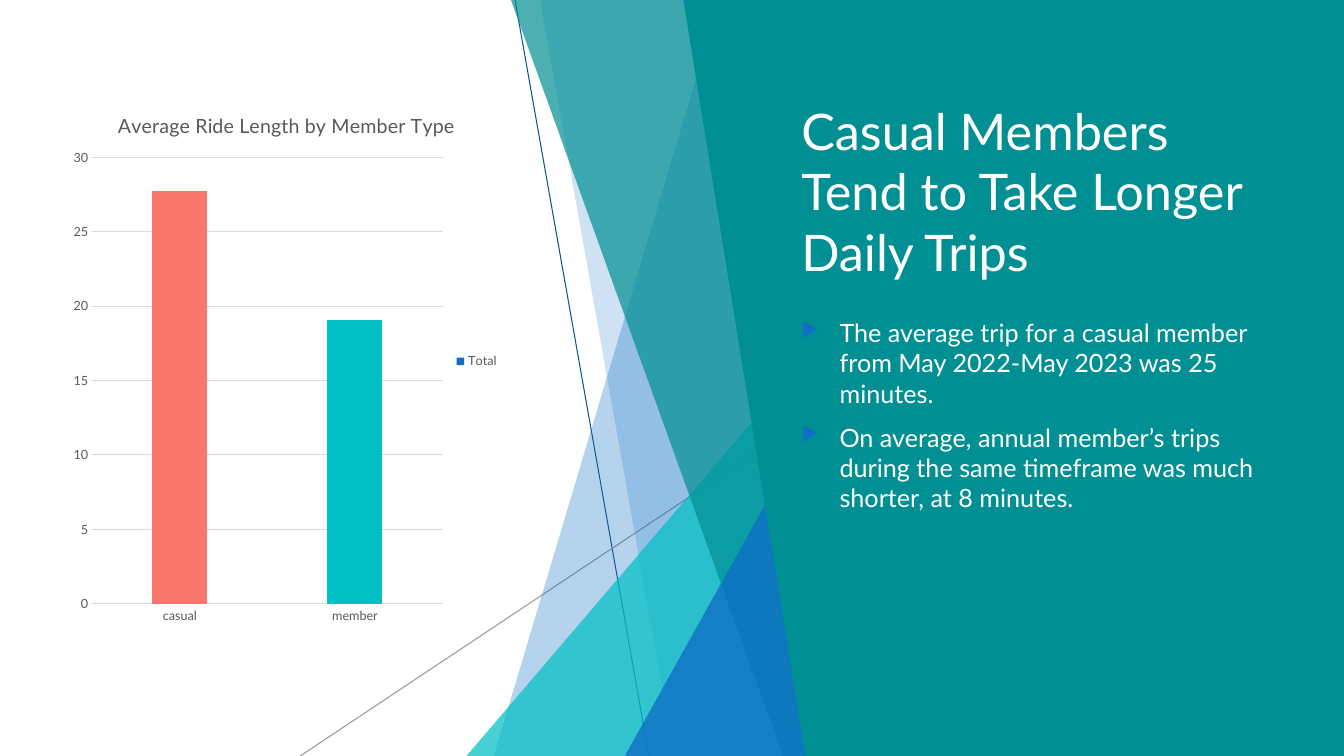
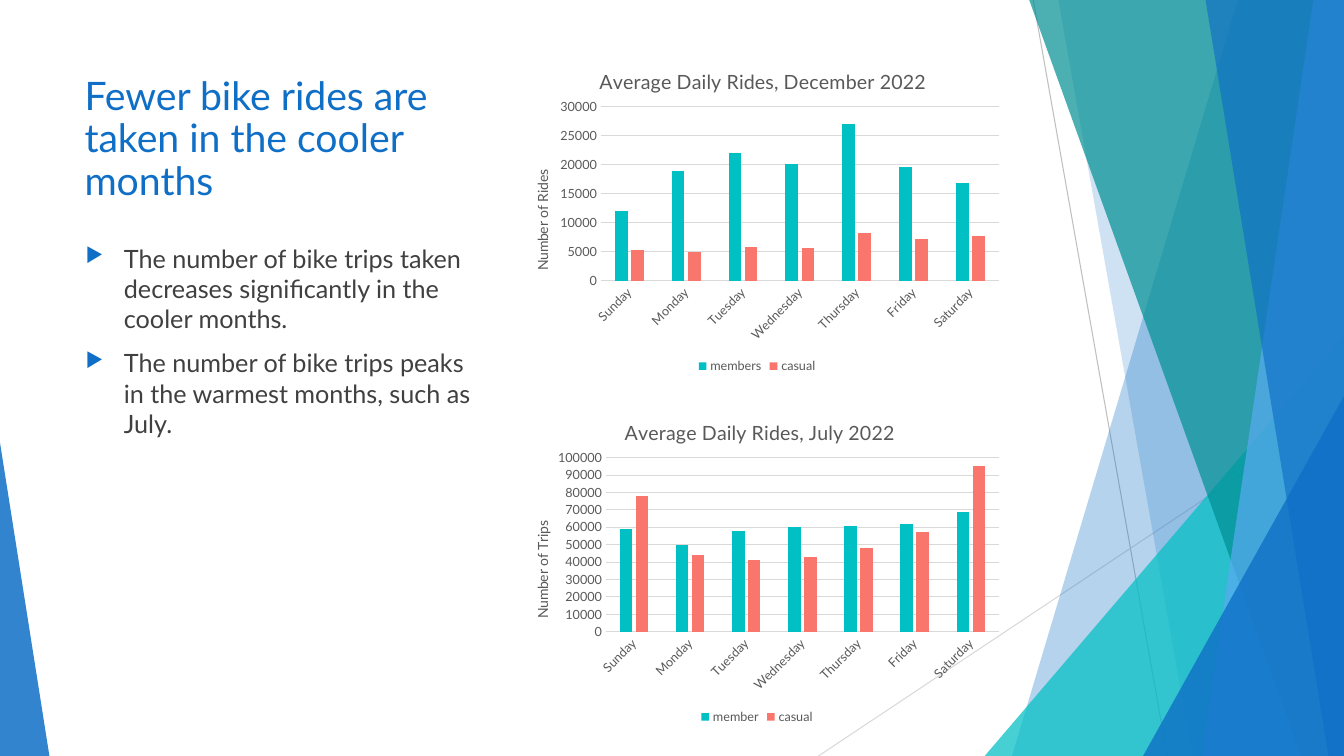
from collections import namedtuple
from dataclasses import dataclass
from itertools import cycle

from pptx import Presentation
from pptx.chart.data import CategoryChartData
from pptx.dml.color import RGBColor
from pptx.enum.chart import XL_CHART_TYPE as ChartType
from pptx.enum.chart import XL_LEGEND_POSITION as LegendSide
from pptx.enum.chart import XL_TICK_MARK as TickMark
from pptx.enum.shapes import MSO_CONNECTOR as Connector
from pptx.enum.shapes import MSO_SHAPE as Preset
from pptx.enum.text import MSO_ANCHOR as Anchor
from pptx.oxml import parse_xml
from pptx.oxml.ns import nsdecls, qn
from pptx.util import Inches, Pt


@dataclass(frozen=True)
class Theme:
    font: str = "Lato"
    blue: RGBColor = RGBColor.from_string("0F6FC6")
    sky: RGBColor = RGBColor.from_string("59AAF2")
    navy: RGBColor = RGBColor.from_string("0B5394")
    teal: RGBColor = RGBColor.from_string("008F93")
    aqua: RGBColor = RGBColor.from_string("00BFC4")
    member: RGBColor = RGBColor.from_string("00C0C4")
    casual: RGBColor = RGBColor.from_string("F9766D")
    white: RGBColor = RGBColor.from_string("FFFFFF")
    ink: RGBColor = RGBColor.from_string("404040")
    label: RGBColor = RGBColor.from_string("595959")
    grey: RGBColor = RGBColor.from_string("999999")
    silver: RGBColor = RGBColor.from_string("BFBFBF")
    mist: RGBColor = RGBColor.from_string("D9D9D9")
    hairline: Pt = Pt(0.75)
    big_title: Pt = Pt(36)
    small_title: Pt = Pt(28)
    body: Pt = Pt(18)
    chart_title: Pt = Pt(14)
    axis_title: Pt = Pt(10)
    tick: Pt = Pt(9)


theme = Theme()
deck = Presentation()
deck.slide_width = Inches(13.333)
deck.slide_height = Inches(7.5)
column, row = deck.slide_width / 100, deck.slide_height / 100


def grid(*cells):
    return [round(cell * unit) for cell, unit in zip(cells, cycle((column, row)))]


def place(element, **shares):
    for old in element.findall(qn("c:layout")):
        element.remove(old)
    modes = '<c:xMode val="edge"/><c:yMode val="edge"/>'
    if "w" in shares:
        modes = '<c:layoutTarget val="inner"/>' + modes
    sizes = "".join(f'<c:{side} val="{share}"/>' for side, share in shares.items())
    layout = parse_xml(
        f'<c:layout {nsdecls("c")}><c:manualLayout>{modes}{sizes}</c:manualLayout></c:layout>'
    )
    element.insert(len(element.findall(qn("c:tx"))), layout)


length_page, season_page = [deck.slides.add_slide(deck.slide_layouts[6]) for _ in range(2)]

Strip = namedtuple("Strip", "top bottom right colour opacity")
Wedge = namedtuple("Wedge", "left top right tip colour opacity")
back_strips = [
    Strip(92.1, 75.3, 100, theme.blue, 30),
    Strip(78.75, 88.73, 100, theme.blue, 20),
    Wedge(73.27, 44.4, 100, 1, theme.aqua, 72),
    Strip(76.58, 96.83, 100, theme.teal, 70),
]
edge_strips = [
    Strip(97.73, 89.4, 100, theme.sky, 70),
    Strip(89.7, 98.85, 100, theme.blue, 65),
]
front_wedge = Wedge(85.05, 52.4, 100, 1, theme.blue, 80)
corner_wedge = Wedge(0, 58.53, 3.68, 0, theme.blue, 85)
shift = -38.56
panel = Strip(89.41, 98.49, 100 - shift, theme.teal, 100)

backdrops = [
    (length_page, shift, (theme.navy, theme.grey), [*back_strips, front_wedge, panel]),
    (season_page, 0, (theme.silver, theme.mist),
     [*back_strips, *edge_strips, front_wedge, corner_wedge]),
]
rays = [(76.88, 0, 86.85, 100), (100, 53.73, 60.9, 100)]

for page, offset, ray_colours, facets in backdrops:
    for (x1, y1, x2, y2), colour in zip(rays, ray_colours):
        ray = page.shapes.add_connector(
            Connector.STRAIGHT, *grid(x1 + offset, y1, x2 + offset, y2))
        ray.line.color.rgb = colour
        ray.line.width = theme.hairline
        ray.element.spPr.append(parse_xml(f'<a:effectLst {nsdecls("a")}/>'))
    for facet in facets:
        right = facet.right + offset
        if isinstance(facet, Strip):
            outline = page.shapes.build_freeform(*grid(facet.top + offset, 0))
            outline.add_line_segments(
                [grid(right, 0), grid(right, 100), grid(facet.bottom + offset, 100)], close=True)
            shape = outline.convert_to_shape()
        else:
            shape = page.shapes.add_shape(
                Preset.ISOSCELES_TRIANGLE,
                *grid(facet.left + offset, facet.top, facet.right - facet.left, 100 - facet.top))
            shape.adjustments[0] = facet.tip
        shape.shadow.inherit = False
        shape.line.fill.background()
        shape.fill.solid()
        shape.fill.fore_color.rgb = facet.colour
        if facet.opacity < 100:
            tint = shape.element.spPr.find(qn("a:solidFill"))[0]
            tint.append(parse_xml(f'<a:alpha {nsdecls("a")} val="{facet.opacity * 1000}"/>'))

titles = [
    (length_page, (58.88, 8.93, 37.05, 32.53), theme.big_title, theme.white, 1.0,
     "Casual Members Tend to Take Longer Daily Trips"),
    (season_page, (5.55, 8.93, 30.6, 19.2), theme.small_title, theme.blue, 0.9,
     "Fewer bike rides are taken in the cooler months"),
]
for page, area, size, colour, spacing, text in titles:
    box = page.shapes.add_textbox(*grid(*area))
    frame = box.text_frame
    frame.word_wrap = True
    frame.vertical_anchor = Anchor.MIDDLE
    frame.text = text
    para = frame.paragraphs[0]
    para.line_spacing = spacing
    font = para.runs[0].font
    font.name, font.size, font.color.rgb = theme.font, size, colour

bodies = [
    (length_page, (58.88, 41.33, 37.05, 48.4), theme.white, [
        "The average trip for a casual member from May 2022-May 2023 was 25 minutes.",
        "On average, annual member’s trips during the same timeframe was much shorter, at 8 minutes.",
    ]),
    (season_page, (5.63, 31.47, 30.53, 51.87), theme.ink, [
        "The number of bike trips taken decreases significantly in the cooler months.",
        "The number of bike trips peaks in the warmest months, such as July.",
    ]),
]
bullet_parts = [
    f'<a:buClr {nsdecls("a")}><a:srgbClr val="{theme.blue}"/></a:buClr>',
    f'<a:buSzPct {nsdecls("a")} val="80000"/>',
    f'<a:buChar {nsdecls("a")} char="▶"/>',
]
for page, area, colour, points in bodies:
    box = page.shapes.add_textbox(*grid(*area))
    frame = box.text_frame
    frame.word_wrap = True
    frame.text = "\n".join(points)
    for para in frame.paragraphs:
        para.space_before = Pt(10)
        font = para.runs[0].font
        font.name, font.size, font.color.rgb = theme.font, theme.body, colour
        properties = para._p.get_or_add_pPr()
        properties.set("marL", str(Inches(0.38)))
        properties.set("indent", str(-Inches(0.38)))
        for part in bullet_parts:
            properties.append(parse_xml(part))

Plot = namedtuple(
    "Plot", "page area title title_at inner axis_title top step legend categories series")
weekdays = ["Sunday", "Monday", "Tuesday", "Wednesday", "Thursday", "Friday", "Saturday"]
plots = [
    Plot(length_page, (4.88, 11.33, 33, 72.93), "Average Ride Length by Member Type",
         (0.11, 0.04), (0.06, 0.13, 0.79, 0.81), None, 30, 5, LegendSide.RIGHT,
         ["casual", "member"], [("Total", theme.blue, [27.7, 19.1])]),
    Plot(season_page, (37.58, 52.13, 37.5, 44.27), "Average Daily Rides, July 2022",
         (0.23, 0.06), (0.2, 0.19, 0.78, 0.52), "Number of Trips", 100000, 10000,
         LegendSide.BOTTOM, weekdays, [
             ("member", theme.member, [59000, 50000, 58000, 60000, 61000, 62000, 69000]),
             ("casual", theme.casual, [78000, 44000, 41000, 43000, 48000, 57000, 95000])]),
    Plot(season_page, (37.58, 5.73, 37.5, 44.27), "Average Daily Rides, December 2022",
         (0.18, 0.06), (0.19, 0.19, 0.79, 0.52), "Number of Rides", 30000, 5000,
         LegendSide.BOTTOM, weekdays, [
             ("members", theme.member, [12100, 18900, 22100, 20200, 27100, 19700, 16900]),
             ("casual", theme.casual, [5300, 4900, 5900, 5700, 8200, 7200, 7700])]),
]

for plot in plots:
    data = CategoryChartData()
    data.categories = plot.categories
    for name, colour, values in plot.series:
        data.add_series(name, values)
    chart = plot.page.shapes.add_chart(
        ChartType.COLUMN_CLUSTERED, *grid(*plot.area), data).chart
    chart.font.name, chart.font.size = theme.font, theme.axis_title

    bars = chart.plots[0]
    bars.vary_by_categories = False
    bars.gap_width, bars.overlap = 219, -27
    for series, (name, colour, values) in zip(bars.series, plot.series):
        series.format.fill.solid()
        series.format.fill.fore_color.rgb = colour
    if len(plot.series) == 1:
        for index, colour in enumerate((theme.casual, theme.member)):
            fill = bars.series[0].points[index].format.fill
            fill.solid()
            fill.fore_color.rgb = colour

    chart.has_legend = True
    chart.legend.position = plot.legend
    chart.legend.include_in_layout = False
    categories, values = chart.category_axis, chart.value_axis
    for axis in (categories, values):
        axis.major_tick_mark = axis.minor_tick_mark = TickMark.NONE
    for font in (chart.legend.font, categories.tick_labels.font, values.tick_labels.font):
        font.name, font.size, font.color.rgb = theme.font, theme.tick, theme.label
    values.minimum_scale, values.maximum_scale = 0, plot.top
    values.major_unit = plot.step
    values.format.line.fill.background()
    for line in (categories.format.line, values.major_gridlines.format.line):
        line.color.rgb, line.width = theme.mist, theme.hairline

    headings = [(chart.chart_title, plot.title, theme.chart_title)]
    if plot.axis_title:
        headings.append((values.axis_title, plot.axis_title, theme.axis_title))
        chart.element.xpath(".//c:catAx/c:txPr/a:bodyPr")[0].set("rot", "-2700000")
    for heading, text, size in headings:
        heading.text_frame.text = text
        font = heading.text_frame.paragraphs[0].runs[0].font
        font.name, font.size, font.color.rgb, font.bold = theme.font, size, theme.label, False

    place(chart.element.xpath("c:chart/c:title")[0], **dict(zip("xy", plot.title_at)))
    place(chart.element.xpath("c:chart/c:plotArea")[0], **dict(zip("xywh", plot.inner)))
    for title in chart.element.xpath(".//c:valAx/c:title"):
        title.xpath(".//a:bodyPr")[0].set("rot", "-5400000")
        place(title, x=0.05, y=0.37)

deck.save("out.pptx")
